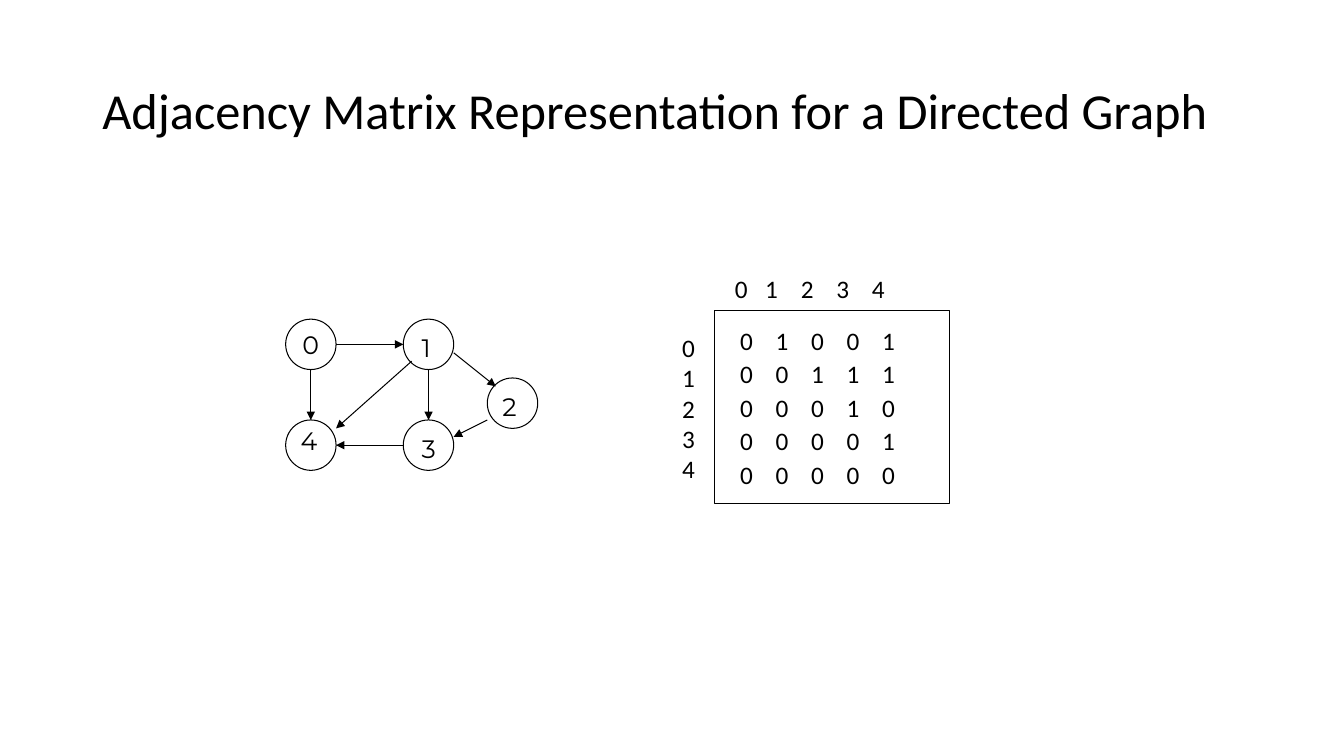
from lxml.etree import SubElement as Sub
from pptx import Presentation as Deck
from pptx.dml.color import RGBColor as Color
from pptx.enum.shapes import MSO_CONNECTOR as Link, MSO_SHAPE as Kind
from pptx.enum.text import MSO_ANCHOR as Anchor
from pptx.oxml.ns import qn
from pptx.util import Inches, Pt

THEME = {
    "ink": Color(0, 0, 0), "line": 0.75,
    "head": 36, "body": 18,
    "font": "Calibri", "node": "Montserrat",
}

# Lengths below are in grid units of 1/12 inch.
UNIT = Inches(1) // 12
TITLE = "Adjacency Matrix Representation for a Directed Graph"
BALL = 6
# node: (left, top, label offset right, label offset down)
NODES = {
    0: (34, 38, 0.8, 0.6),
    1: (48, 38, 1, 1),
    2: (58, 45, 0.6, 1),
    3: (48, 50, 1, 1),
    4: (34, 50, 0.6, 0.1),
}
# (from node, to node): (start x, start y, end x, end y)
EDGES = {
    (0, 1): (40, 41, 48, 41),
    (0, 4): (37, 44, 37, 50),
    (1, 2): (54, 42, 59, 46),
    (1, 3): (51, 44, 51, 50),
    (1, 4): (49, 43, 40, 51),
    (2, 3): (58, 50, 54, 52),
    (3, 4): (48, 53, 40, 53),
}
FRAME = (85, 37, 28, 23)
ROW, COL = 4, 4.23  # pitch of the matrix


def grid(*vals):
    """Turn grid units into slide lengths."""
    return [round(val * UNIT) for val in vals]


def write(text, box, size=THEME["body"], font=THEME["font"],
          anchor=Anchor.TOP, space=None, tabs=()):
    """Add a text box; each line of text is a paragraph."""
    frame = slide.shapes.add_textbox(*grid(*box)).text_frame
    frame.word_wrap = True
    frame.vertical_anchor = anchor
    frame.text = text
    for para in frame.paragraphs:
        para.line_spacing = space
        para.font.size = Pt(size)
        para.font.name = font
        para.font.color.rgb = THEME["ink"]
        for run in para.runs:
            run.font.size = Pt(size)
            run.font.name = font
            run.font.color.rgb = THEME["ink"]
        if tabs:
            props = para._p.get_or_add_pPr()
            stops = props.find(qn("a:defRPr"))
            tab_list = props.makeelement(qn("a:tabLst"), {})
            stops.addprevious(tab_list)
            for stop in grid(*tabs):
                Sub(tab_list, qn("a:tab"), pos=str(stop), algn="l")


def ink(shape):
    """Give a shape or line the common stroke."""
    shape.line.color.rgb = THEME["ink"]
    shape.line.width = Pt(THEME["line"])


def outline(kind, box):
    """Add an unfilled preset shape."""
    shape = slide.shapes.add_shape(kind, *grid(*box))
    shape.shadow.inherit = False
    shape.fill.background()
    ink(shape)


def arrow(ends):
    """Add a straight arrow."""
    link = slide.shapes.add_connector(Link.STRAIGHT, *grid(*ends))
    ink(link)
    Sub(link.line._get_or_add_ln(), qn("a:tailEnd"), type="triangle")
    Sub(link._element.spPr, qn("a:effectLst"))


def digits(vals, left, top, first=COL):
    """Write one row of digits on even tab stops."""
    tabs = [first + COL * step for step in range(len(vals) - 1)]
    write("\t".join(map(str, vals)), (left, top, 25, 4.8), tabs=tabs)


deck = Deck()
deck.slide_width, deck.slide_height = Inches(13.33), Inches(7.5)
slide = deck.slides.add_slide(deck.slide_layouts[6])

write(TITLE, (11, 4.8, 138, 17.4), size=THEME["head"],
      anchor=Anchor.MIDDLE, space=0.9)

left, top = FRAME[:2]
outline(Kind.RECTANGLE, FRAME)
for row in NODES:
    cells = [int((row, col) in EDGES) for col in NODES]
    digits(cells, left + 1.9, top + 1.1 + ROW * row)
digits(NODES, left + 1.3, top - 5, first=3.6)
write("\n".join(map(str, NODES)), (left - 5, top + 2, 4, 19.2))

for x, y, *_ in NODES.values():
    outline(Kind.OVAL, (x, y, BALL, BALL))
for ends in EDGES.values():
    arrow(ends)
for name, (x, y, right, down) in NODES.items():
    write(str(name), (x + right, y + down, 4.4, 4.8), font=THEME["node"])

deck.save("out.pptx")
